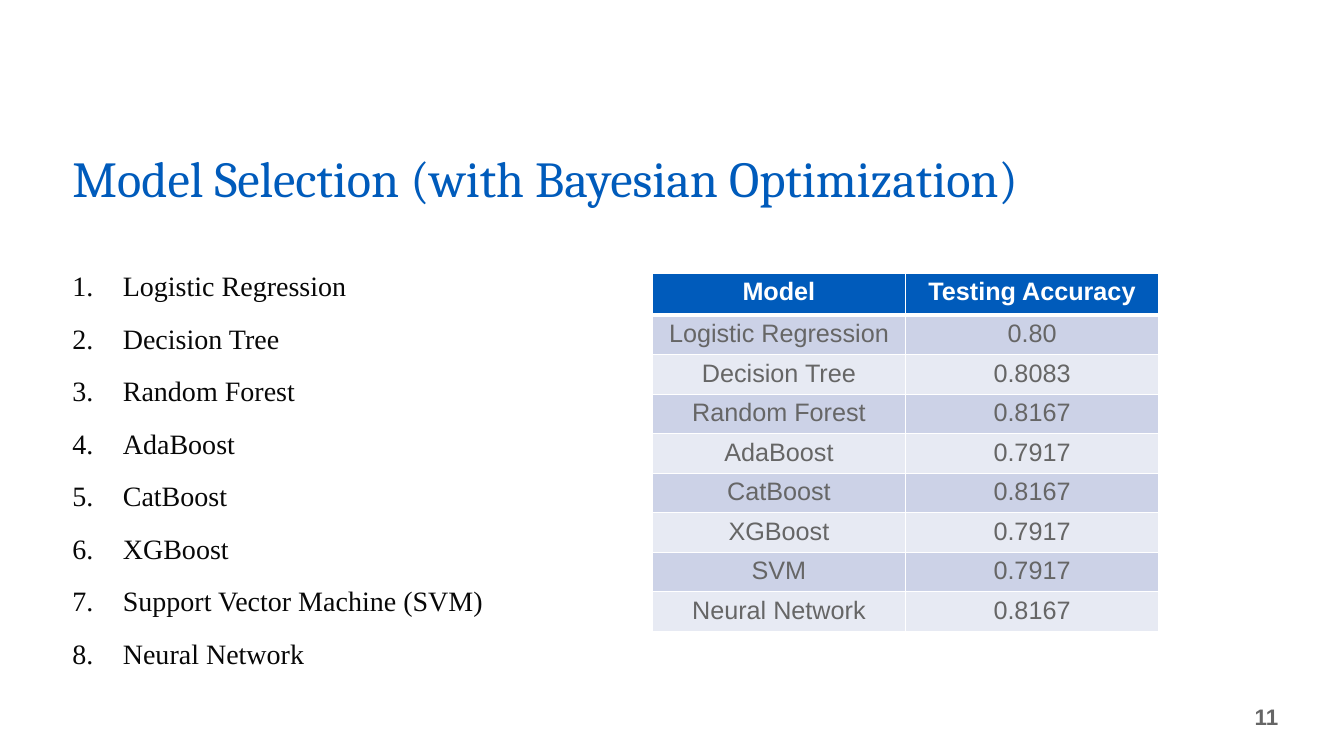
import pptx
import pptx.util
import pptx.dml.color
import pptx.enum.text
import pptx.oxml
import pptx.oxml.ns

Pt = pptx.util.Pt
ALIGN = pptx.enum.text.PP_ALIGN
ANCHOR = pptx.enum.text.MSO_ANCHOR

# Content
TITLE = "Model Selection (with Bayesian Optimization)"
PAGE_NUMBER = "11"
MODELS = [
    "Logistic Regression",
    "Decision Tree",
    "Random Forest",
    "AdaBoost",
    "CatBoost",
    "XGBoost",
    "Support Vector Machine (SVM)",
    "Neural Network",
]
RESULTS = [
    ("Model", "Testing Accuracy"),
    ("Logistic Regression", "0.80"),
    ("Decision Tree", "0.8083"),
    ("Random Forest", "0.8167"),
    ("AdaBoost", "0.7917"),
    ("CatBoost", "0.8167"),
    ("XGBoost", "0.7917"),
    ("SVM", "0.7917"),
    ("Neural Network", "0.8167"),
]

THEME = {
    "blue": "005BBB",
    "gray": "666666",
    "black": "080808",
    "white": "FFFFFF",
    "bands": ("CCD2E7", "E7EAF3"),
    "title_font": "Cambria",
    "list_font": "Times New Roman",
    "table_font": "Arial",
    "title_size": 36,
    "list_size": 20,
    "table_size": 18,
    "page_size": 16,
}

# Layout in points: left, top, width, height
SLIDE_SIZE = (960, 540)
TITLE_BOX = (44.64, 106.56, 819.36, 46.8)
LIST_BOX = (44.64, 176.4, 397.44, 296.64)
PAGE_BOX = (596.16, 497.52, 324, 28.8)
TABLE_LEFT, TABLE_TOP = 466, 195
COLUMN_WIDTH, HEADER_HEIGHT, ROW_HEIGHT = 180.8, 30.2, 27.4
CELL_MARGIN = 3.3
LIST_INDENT = 36


def color(value):
    return pptx.dml.color.RGBColor.from_string(value)


def write(frame, lines, *, font, size, fill, bold=False, align=ALIGN.LEFT,
          anchor=ANCHOR.TOP, spacing=1.0, before=0, numbered=False):
    """Fill a text frame with one paragraph per line."""
    frame.word_wrap = True
    frame.vertical_anchor = anchor
    for index, line in enumerate(lines):
        paragraph = frame.add_paragraph() if index else frame.paragraphs[0]
        paragraph.alignment = align
        paragraph.line_spacing = spacing
        paragraph.space_before = Pt(before)
        run = paragraph.add_run()
        run.text = line
        run.font.name = font
        run.font.size = Pt(size)
        run.font.bold = bold
        run.font.color.rgb = color(fill)
        if numbered:
            properties = paragraph._p.get_or_add_pPr()
            properties.set("marL", str(Pt(LIST_INDENT)))
            properties.set("indent", str(-Pt(LIST_INDENT)))
            number = pptx.oxml.parse_xml(
                f'<a:buAutoNum {pptx.oxml.ns.nsdecls("a")} type="arabicPeriod"/>')
            properties.append(number)


def add_text(slide, box, lines, **style):
    shape = slide.shapes.add_textbox(*map(Pt, box))
    write(shape.text_frame, lines, **style)


def set_borders(cell, widths):
    """Draw white cell borders; widths maps L, R, T, B to points."""
    properties = cell._tc.get_or_add_tcPr()
    for side, width in widths.items():
        properties.append(pptx.oxml.parse_xml(
            f'<a:ln{side} {pptx.oxml.ns.nsdecls("a")} w="{Pt(width)}">'
            f'<a:solidFill><a:srgbClr val="{THEME["white"]}"/></a:solidFill>'
            f'</a:ln{side}>'))


def add_results(slide):
    row_count, column_count = len(RESULTS), len(RESULTS[0])
    height = HEADER_HEIGHT + ROW_HEIGHT * (row_count - 1)
    table = slide.shapes.add_table(
        row_count, column_count, Pt(TABLE_LEFT), Pt(TABLE_TOP),
        Pt(COLUMN_WIDTH * column_count), Pt(height)).table
    for column in table.columns:
        column.width = Pt(COLUMN_WIDTH)
    for row_index, values in enumerate(RESULTS):
        header = row_index == 0
        table.rows[row_index].height = Pt(HEADER_HEIGHT if header else ROW_HEIGHT)
        background = THEME["blue"] if header else THEME["bands"][(row_index - 1) % 2]
        for column_index, value in enumerate(values):
            cell = table.cell(row_index, column_index)
            cell.margin_top = cell.margin_bottom = Pt(CELL_MARGIN)
            set_borders(cell, {"L": 1, "R": 1,
                               "T": 3 if row_index == 1 else 1,
                               "B": 3 if header else 1})
            cell.fill.solid()
            cell.fill.fore_color.rgb = color(background)
            write(cell.text_frame, [value], font=THEME["table_font"],
                  size=THEME["table_size"], bold=header, align=ALIGN.CENTER,
                  fill=THEME["white"] if header else THEME["gray"])


def main():
    presentation = pptx.Presentation()
    presentation.slide_width, presentation.slide_height = map(Pt, SLIDE_SIZE)
    slide = presentation.slides.add_slide(presentation.slide_layouts[6])

    # Page number, title and numbered list
    add_text(slide, PAGE_BOX, [PAGE_NUMBER], font=THEME["table_font"],
             size=THEME["page_size"], fill=THEME["gray"], bold=True,
             align=ALIGN.RIGHT, anchor=ANCHOR.MIDDLE)
    add_text(slide, TITLE_BOX, [TITLE], font=THEME["title_font"],
             size=THEME["title_size"], fill=THEME["blue"], spacing=0.9)
    add_text(slide, LIST_BOX, MODELS, font=THEME["list_font"],
             size=THEME["list_size"], fill=THEME["black"], spacing=1.5,
             before=1.5, numbered=True)

    # Accuracy table
    add_results(slide)
    presentation.save("out.pptx")


if __name__ == "__main__":
    main()
